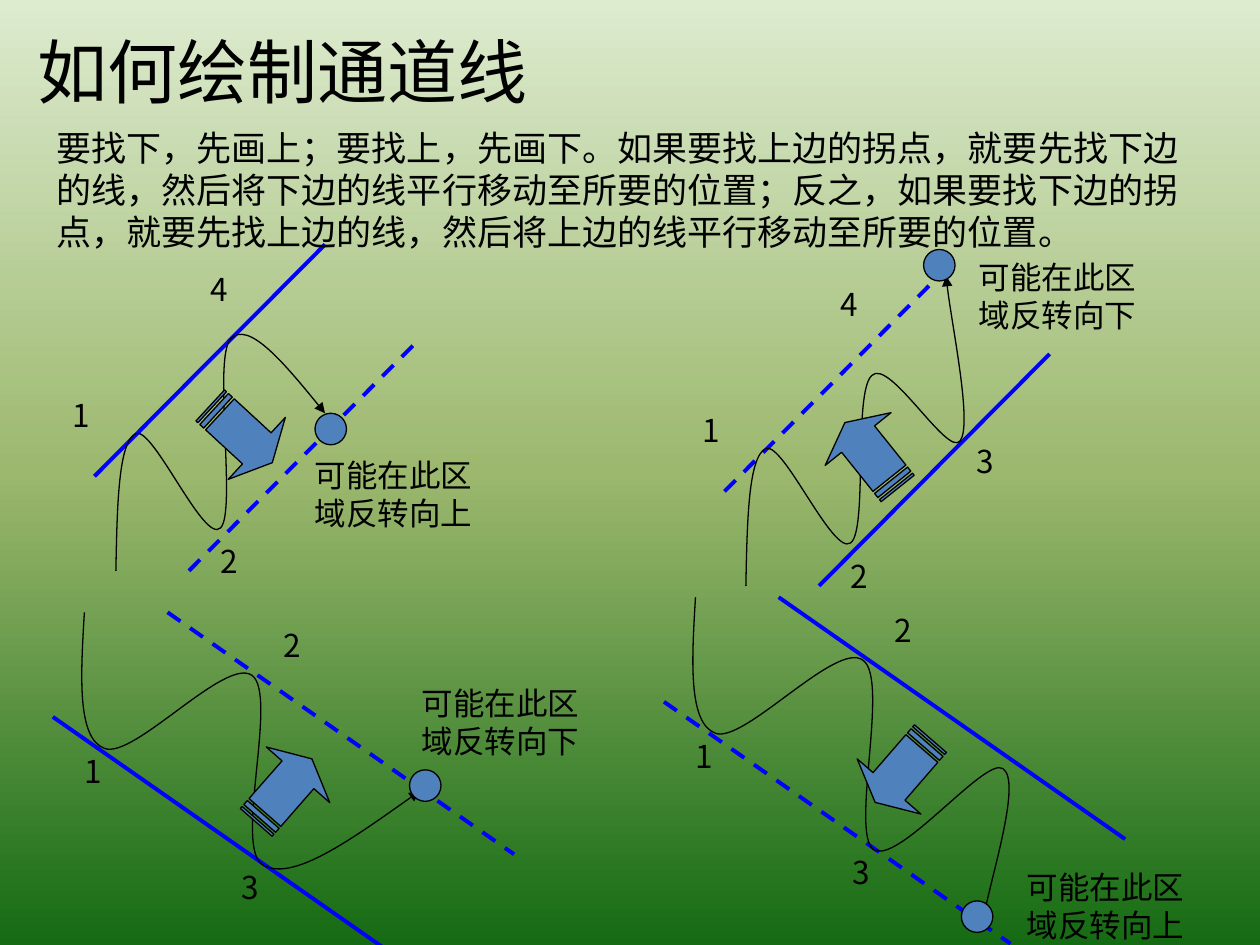
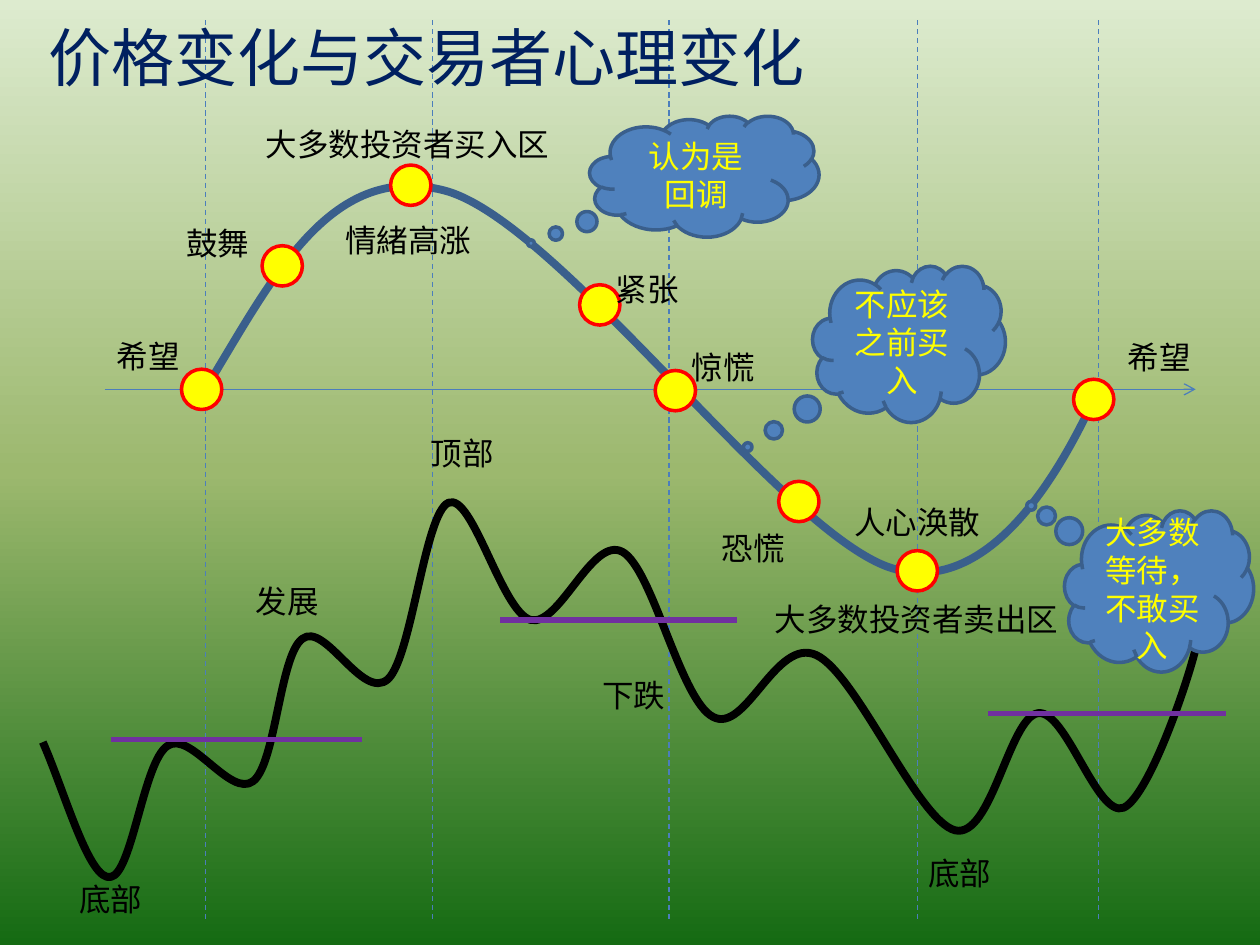
from copy import deepcopy
from dataclasses import dataclass

from lxml.etree import SubElement
from pptx import Presentation
from pptx.dml.color import RGBColor
from pptx.enum.dml import MSO_LINE
from pptx.enum.shapes import MSO_CONNECTOR, MSO_SHAPE as PRESET
from pptx.enum.text import MSO_ANCHOR as ANCHOR, PP_ALIGN as ALIGN
from pptx.oxml.ns import qn
from pptx.util import Inches, Pt


@dataclass(frozen=True)
class Theme:
    font: str = "Noto Sans CJK SC"
    black: str = "000000"
    navy: str = "002060"
    channel: str = "0000FF"
    blue: str = "4F81BD"
    dark_blue: str = "3A5F8C"
    guide: str = "4B7EBC"
    yellow: str = "FFFF00"
    red: str = "FF0000"
    purple: str = "7030A0"
    background: tuple = ("DDEBCF", "9CB86E", "156B13")
    channel_title: int = 40
    mood_title: int = 36
    body: int = 20
    label: int = 18


theme = Theme()


def write_text(shape, text, *, size=theme.label, color=theme.black,
               align=ALIGN.LEFT, anchor=ANCHOR.TOP, wrap=True):
    frame = shape.text_frame
    frame.word_wrap = wrap
    frame.vertical_anchor = anchor
    frame.margin_top = Inches(0.05 + size * 0.0012)
    paragraph = frame.paragraphs[0]
    paragraph.alignment = align
    paragraph.line_spacing = Pt(size * 1.2)
    run = paragraph.add_run()
    run.text = text
    run.font.size = Pt(size)
    run.font.color.rgb = RGBColor.from_string(color)
    run.font.name = theme.font
    SubElement(run.font._element, qn("a:ea"), typeface=theme.font)


def add_stroke(slide, points, color=theme.black, width=0.75, dashed=False, head=None):
    points = [(Inches(x), Inches(y)) for x, y in points]
    if len(points) == 2:
        shape = slide.shapes.add_connector(MSO_CONNECTOR.STRAIGHT, *points[0], *points[1])
    else:
        builder = slide.shapes.build_freeform(*points[0])
        builder.add_line_segments(points[1:], close=False)
        shape = builder.convert_to_shape()
        shape.fill.background()
        outline = shape.element.find(".//" + qn("a:path"))
        segments = outline.findall(qn("a:lnTo"))
        for index in range(0, len(segments), 3):
            curve = SubElement(outline, qn("a:cubicBezTo"))
            for segment in segments[index:index + 3]:
                curve.append(segment[0])
                outline.remove(segment)
    shape.line.color.rgb = RGBColor.from_string(color)
    shape.line.width = Pt(width)
    if dashed:
        shape.line.dash_style = MSO_LINE.DASH
    properties = shape.element.spPr
    if head:
        SubElement(properties.find(qn("a:ln")), qn("a:tailEnd"), type=head)
    SubElement(properties, qn("a:effectLst"))


presentation = Presentation()
presentation.slide_width = Inches(10)
presentation.slide_height = Inches(7.5)

master = presentation.slide_master
background = master.background.fill
background.gradient()
background.gradient_angle = 270
stops = master.element.find(".//" + qn("a:gsLst"))
stops.insert(1, deepcopy(stops[0]))
for stop, color, position in zip(background.gradient_stops, theme.background, (0, 0.5, 1)):
    stop.color.rgb = RGBColor.from_string(color)
    stop.position = position

blank = presentation.slide_layouts[6]
channel_slide = presentation.slides.add_slide(blank)
mood_slide = presentation.slides.add_slide(blank)

texts = [
    (channel_slide, "如何绘制通道线", (0.2, 0.13, 8.9, 0.81),
     dict(size=theme.channel_title, anchor=ANCHOR.MIDDLE)),
    (channel_slide,
     "要找下，先画上；要找上，先画下。如果要找上边的拐点，就要先找下边的线，"
     "然后将下边的线平行移动至所要的位置；反之，如果要找下边的拐点，"
     "就要先找上边的线，然后将上边的线平行移动至所要的位置。",
     (0.35, 0.93, 9.37, 1.11), dict(size=theme.body)),
    (mood_slide, "价格变化与交易者心理变化", (0.29, 0.16, 9, 0.53),
     dict(size=theme.mood_title, color=theme.navy, anchor=ANCHOR.MIDDLE)),
]
presets = []

rising = dict(
    upper=[(0.75, 3.78), (2.58, 1.94)], lower=[(1.5, 4.53), (3.33, 2.69)],
    numbers={"1": (0.48, 3.07), "2": (1.65, 4.23), "3": (2.65, 3.32), "4": (1.57, 2.07)})
falling = dict(
    upper=[(1.33, 4.86), (4.08, 6.78)], lower=[(0.42, 5.69), (3.17, 7.61)],
    numbers={"1": (0.57, 5.9), "2": (2.15, 4.9), "3": (1.82, 6.82)})

channels = [
    dict(pattern=rising, shift=(0, 0), dashed="lower", numbers="124",
         note="可能在此区域反转向上", note_at=(2.4, 3.55), target=(2.5, 3.28),
         arrow=(1.58, 3.11), rotation=42.7,
         price=[(0.92, 4.53), (0.93, 4.01), (0.94, 3.5), (1.08, 3.44),
                (1.22, 3.39), (1.62, 4.32), (1.75, 4.19), (1.88, 4.07), (1.69, 2.85),
                (1.83, 2.69), (1.97, 2.54), (2.28, 2.91), (2.58, 3.28)]),
    dict(pattern=rising, shift=(5, 0.12), dashed="upper", numbers="1234",
         note="可能在此区域反转向下", note_at=(7.67, 1.98), target=(7.33, 1.98),
         arrow=(6.58, 3.28), rotation=231.3,
         price=[(5.92, 4.65), (5.93, 4.13), (5.94, 3.62), (6.08, 3.56),
                (6.22, 3.51), (6.61, 4.41), (6.75, 4.31), (6.89, 4.22), (6.77, 3.11),
                (6.92, 2.98), (7.06, 2.84), (7.52, 3.63), (7.62, 3.5),
                (7.72, 3.37), (7.53, 2.47), (7.51, 2.19)]),
    dict(pattern=falling, shift=(0, 0), dashed="upper", numbers="123",
         note="可能在此区域反转向下", note_at=(3.25, 5.36), target=(3.25, 6.11),
         arrow=(1.92, 5.94), rotation=311.2,
         price=[(0.67, 4.86), (0.64, 5.36), (0.61, 5.86), (0.83, 5.94),
                (1.06, 6.03), (1.79, 5.21), (2, 5.36), (2.21, 5.51), (1.86, 6.71),
                (2.08, 6.86), (2.31, 7.01), (2.82, 6.64), (3.33, 6.28)]),
    dict(pattern=falling, shift=(4.85, -0.12), dashed="lower", numbers="123",
         note="可能在此区域反转向上", note_at=(8.05, 6.82), target=(7.63, 7.15),
         arrow=(6.83, 5.78), rotation=130.9,
         price=[(5.52, 4.74), (5.49, 5.24), (5.46, 5.74), (5.68, 5.82),
                (5.91, 5.9), (6.64, 5.08), (6.85, 5.24), (7.06, 5.39), (6.75, 6.59),
                (6.93, 6.74), (7.12, 6.88), (7.82, 6), (7.96, 6.1),
                (8.11, 6.2), (7.83, 7.07), (7.8, 7.33)]),
]
for channel in channels:
    pattern = channel["pattern"]
    dx, dy = channel["shift"]
    for side in ("upper", "lower"):
        add_stroke(channel_slide, [(x + dx, y + dy) for x, y in pattern[side]],
                   theme.channel, 2.25, dashed=side == channel["dashed"])
    add_stroke(channel_slide, channel["price"], head="triangle")
    presets += [
        (channel_slide, PRESET.OVAL, (*channel["target"], 0.25, 0.25),
         theme.blue, theme.black, 0.75, 0, (), ""),
        (channel_slide, PRESET.STRIPED_RIGHT_ARROW, (*channel["arrow"], 0.67, 0.67),
         theme.blue, theme.black, 0.75, channel["rotation"], (0.5, 0.25), ""),
    ]
    for number in channel["numbers"]:
        x, y = pattern["numbers"][number]
        texts.append((channel_slide, number, (x + dx, y + dy, 0.34, 0.4), dict(wrap=False)))
    texts.append((channel_slide, channel["note"], (*channel["note_at"], 1.68, 0.7), {}))

add_stroke(mood_slide, [(0.83, 3.09), (9.49, 3.09)], theme.guide, head="arrow")
for x in (1.63, 3.43, 5.31, 7.28, 8.72):
    add_stroke(mood_slide, [(x, 0.16), (x, 7.29)], theme.guide, dashed=True)

price_curve = [
    (0.34, 5.89), (0.52, 6.3), (0.71, 7), (0.88, 6.96), (1.05, 6.93), (1.14, 6.04),
    (1.33, 5.92), (1.51, 5.79), (1.83, 6.34), (2.01, 6.2), (2.19, 6.06), (2.22, 5.2),
    (2.4, 5.07), (2.58, 4.93), (2.88, 5.57), (3.08, 5.39), (3.27, 5.21), (3.37, 4.07),
    (3.56, 3.99), (3.75, 3.91), (3.98, 4.85), (4.21, 4.92), (4.44, 4.98), (4.7, 4.25),
    (4.94, 4.38), (5.18, 4.51), (5.4, 5.56), (5.66, 5.69), (5.92, 5.83), (6.16, 5.05),
    (6.48, 5.2), (6.8, 5.35), (7.28, 6.51), (7.58, 6.59), (7.87, 6.66), (8.01, 5.69),
    (8.24, 5.66), (8.46, 5.63), (8.71, 6.5), (8.92, 6.41), (9.13, 6.31), (9.46, 5.32),
    (9.5, 5.1)]
mood_curve = [
    (1.61, 3.12), (2.15, 2.24), (2.6, 1.28), (3.52, 1.51), (4.43, 1.74), (6.21, 4.24),
    (7.08, 4.51), (7.95, 4.77), (8.54, 3.47), (8.72, 3.09)]
add_stroke(mood_slide, price_curve, theme.black, 4.5)
add_stroke(mood_slide, mood_curve, theme.dark_blue, 4.5)

for x, y in ((1.44, 2.93), (2.08, 1.95), (3.1, 1.31), (4.6, 2.26),
             (5.2, 2.94), (6.18, 3.82), (7.12, 4.37), (8.52, 3.01)):
    presets.append((mood_slide, PRESET.OVAL, (x, y, 0.32, 0.32),
                    theme.yellow, theme.red, 2, 0, (), ""))
for thought, box, tail in (
        ("认为是回调", (4.68, 0.92, 1.82, 0.96), (-0.756, 0.553)),
        ("不应该之前买入", (6.45, 2.11, 1.53, 1.24), (-0.837, 0.66)),
        ("大多数等待，不敢买入", (8.45, 4.05, 1.5, 1.28), (-0.677, -0.528))):
    presets.append((mood_slide, PRESET.CLOUD_CALLOUT, box,
                    theme.blue, theme.dark_blue, 2, 0, tail, thought))

for label, x, y in (
        ("希望", 0.83, 2.6), ("大多数投资者买入区", 2.01, 0.92),
        ("大多数投资者卖出区", 6.05, 4.69), ("鼓舞", 1.38, 1.71),
        ("情緒高涨", 2.64, 1.68), ("紧张", 4.79, 2.07), ("惊慌", 5.39, 2.69),
        ("恐慌", 5.63, 4.13), ("人心涣散", 6.68, 3.92), ("希望", 8.85, 2.61),
        ("底部", 0.53, 6.91), ("发展", 1.93, 4.55), ("顶部", 3.32, 3.37),
        ("下跌", 4.68, 5.29), ("底部", 7.27, 6.71)):
    texts.append((mood_slide, label, (x, y, 0.21 + 0.25 * len(label), 0.4), dict(wrap=False)))

for slide, preset, box, fill, line, width, rotation, adjustments, text in presets:
    shape = slide.shapes.add_shape(preset, *map(Inches, box))
    shape.shadow.inherit = False
    shape.fill.solid()
    shape.fill.fore_color.rgb = RGBColor.from_string(fill)
    shape.line.color.rgb = RGBColor.from_string(line)
    shape.line.width = Pt(width)
    shape.rotation = rotation
    for index, value in enumerate(adjustments):
        shape.adjustments[index] = value
    if text:
        write_text(shape, text, color=theme.yellow, align=ALIGN.CENTER, anchor=ANCHOR.MIDDLE)

for slide, text, box, text_format in texts:
    write_text(slide.shapes.add_textbox(*map(Inches, box)), text, **text_format)

for start, end, y in ((3.97, 5.85, 4.92), (0.88, 2.87, 5.87), (7.84, 9.73, 5.66)):
    add_stroke(mood_slide, [(start, y), (end, y)], theme.purple, 3)

presentation.save("out.pptx")
